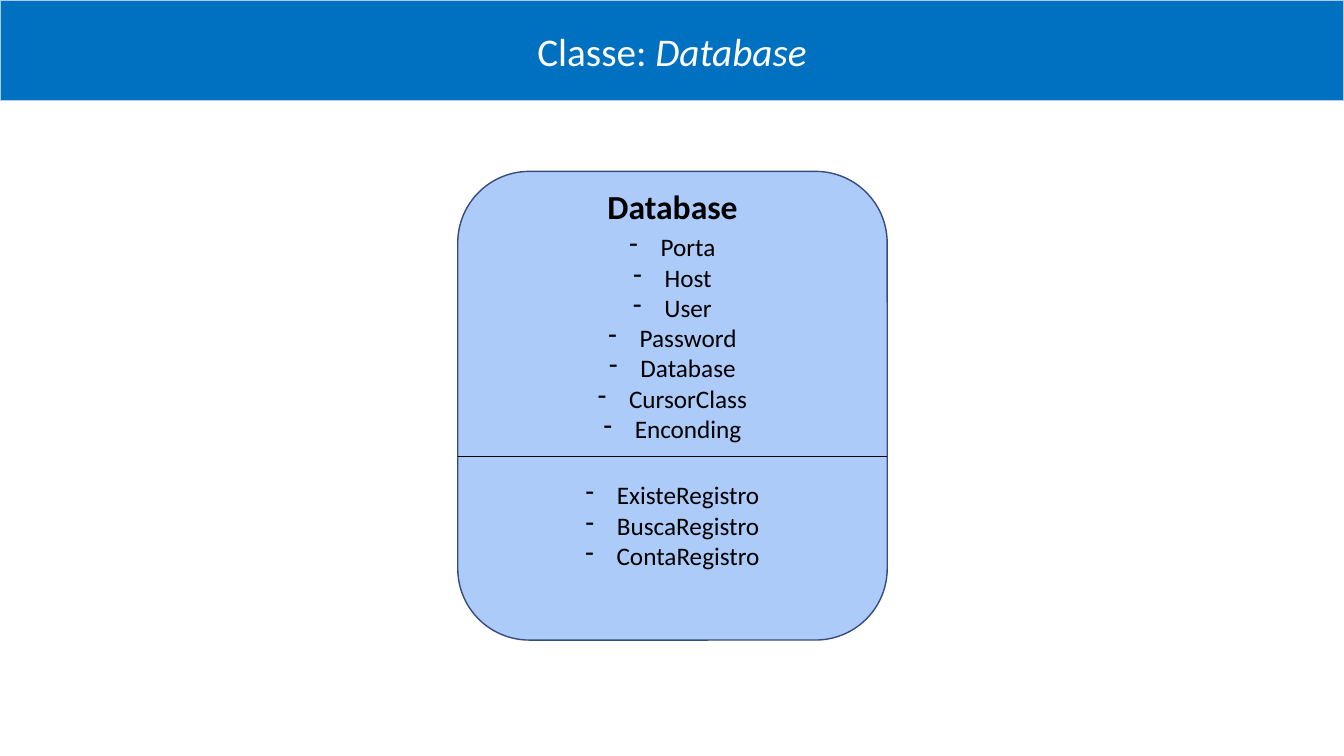
from lxml import etree
from pptx import Presentation
from pptx import util as u
from pptx.dml.color import RGBColor
from pptx.enum import shapes, text
from pptx.oxml.ns import qn

COLORS = {"banner": "0070C0", "card": "ACCBF9", "card_edge": "374B7F",
          "ink": "000000", "white": "FFFFFF"}
FONT = "Calibri"
SLIDE_W, SLIDE_H = 13.33, 7.5


class ClassSlide:
    def __init__(self, slide):
        self.shapes = slide.shapes

    def color(self, name):
        return RGBColor.from_string(COLORS[name])

    def box(self, kind, left, top, width, height, fill, edge):
        shape = self.shapes.add_shape(kind, *map(u.Inches, (left, top, width, height)))
        shape.shadow.inherit = False
        shape.fill.solid()
        shape.fill.fore_color.rgb = self.color(fill)
        shape.line.color.rgb = self.color(edge)
        shape.line.width = u.Pt(1)
        return shape

    def style(self, paragraph, size, color="ink", bold=False):
        paragraph.alignment = text.PP_ALIGN.CENTER
        font = paragraph.font
        font.name, font.size, font.bold = FONT, u.Pt(size), bold
        font.color.rgb = self.color(color)

    def label(self, left, top, width, height, lines, size, bold=False, dashed=False):
        frame = self.shapes.add_textbox(
            *map(u.Inches, (left, top, width, height))).text_frame
        frame.word_wrap = True
        frame.auto_size = text.MSO_AUTO_SIZE.SHAPE_TO_FIT_TEXT
        frame.text = "\n".join(lines)
        for paragraph in frame.paragraphs:
            self.style(paragraph, size, bold=bold)
            if dashed:
                self.dash(paragraph)

    def dash(self, paragraph):
        props = paragraph._p.get_or_add_pPr()
        indent = u.Inches(0.31)
        props.set("marL", str(indent))
        props.set("indent", str(-indent))
        bullet = etree.Element(qn("a:buChar"), char="-")
        props.insert_element_before(bullet, "a:tabLst", "a:defRPr", "a:extLst")
        bullet_font = etree.Element(qn("a:buFontTx"))
        bullet.addprevious(bullet_font)

    def divider(self, left, right, y):
        line = self.shapes.add_connector(
            shapes.MSO_CONNECTOR.STRAIGHT, *map(u.Inches, (left, y, right, y)))
        line.line.color.rgb = self.color("ink")
        line.line.width = u.Pt(0.5)
        etree.SubElement(line._element.spPr, qn("a:effectLst"))

    def banner(self, height, prefix, class_name):
        bar = self.box(shapes.MSO_SHAPE.RECTANGLE, 0, 0, SLIDE_W, height, "banner", "card")
        bar.text_frame.vertical_anchor = text.MSO_ANCHOR.MIDDLE
        title = bar.text_frame.paragraphs[0]
        self.style(title, 28, "white")
        title.add_run().text = prefix
        name = title.add_run()
        name.text = class_name
        name.font.italic = True


prs = Presentation()
prs.slide_width, prs.slide_height = u.Inches(SLIDE_W), u.Inches(SLIDE_H)
page = ClassSlide(prs.slides.add_slide(prs.slide_layouts[6]))

# Class card
card_left, card_width = 4.54, 4.26
page.box(shapes.MSO_SHAPE.ROUNDED_RECTANGLE, card_left, 1.7, card_width, 4.65,
         "card", "card_edge")
page.label(card_left, 1.8, card_width, 0.5, ["Database"], 24, bold=True)

# Attributes and methods
attributes = ["Porta", "Host", "User", "Password", "Database", "CursorClass", "Enconding"]
methods = ["ExisteRegistro", "BuscaRegistro", "ContaRegistro"]
for top, height, members in ((2.25, 2.52, attributes), (4.71, 1.01, methods)):
    page.label(card_left, top, card_width, height, members, 18, dashed=True)
page.divider(card_left, card_left + card_width, 4.53)

# Title banner
page.banner(1, "Classe: ", "Database")

prs.save("out.pptx")
